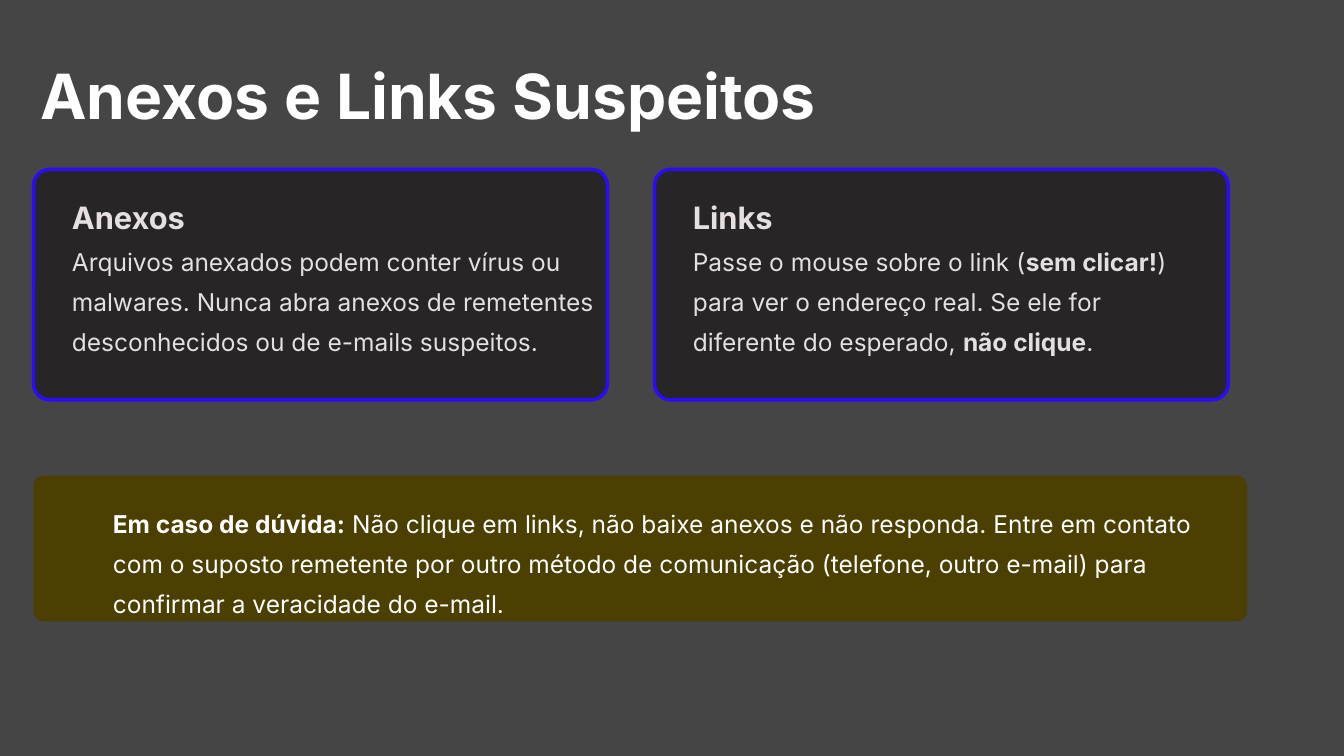
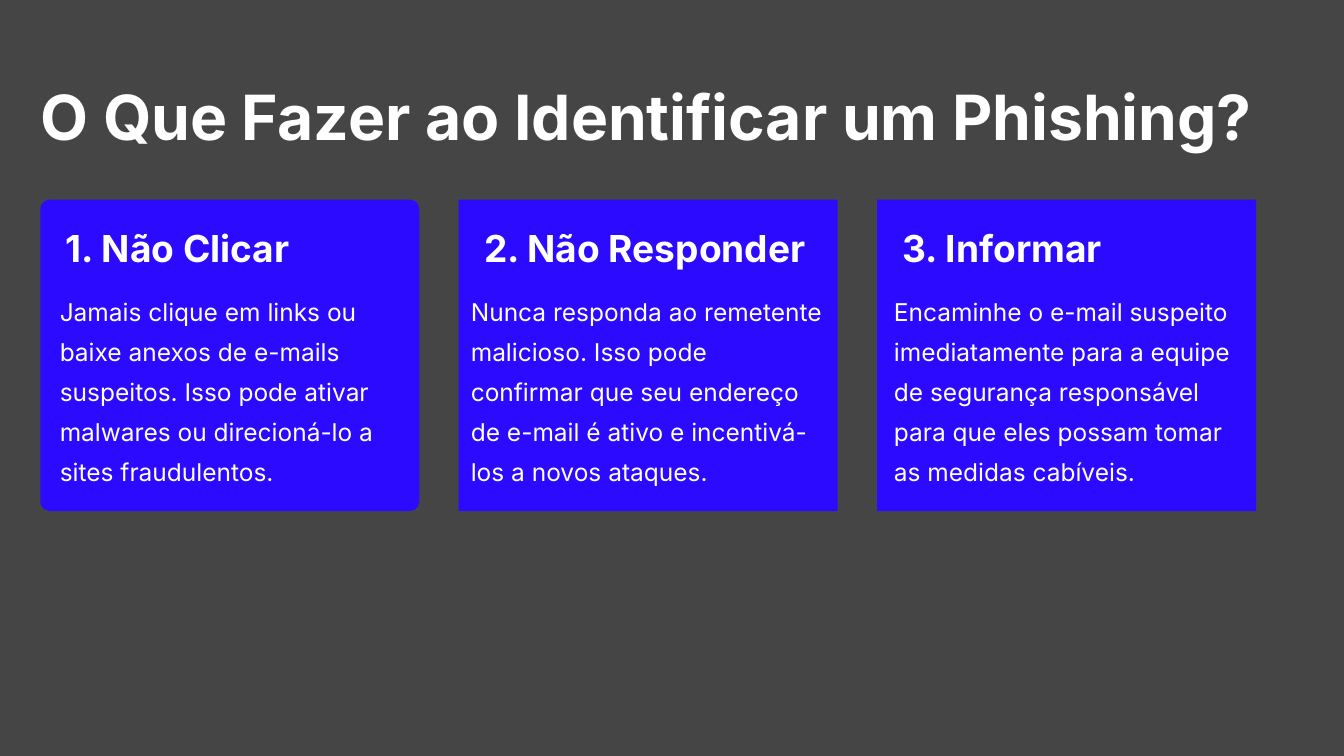
import dataclasses

import pptx
import pptx.dml.color
import pptx.enum.shapes
import pptx.enum.text
import pptx.util

ROUNDED = pptx.enum.shapes.MSO_SHAPE.ROUNDED_RECTANGLE
SQUARE = pptx.enum.shapes.MSO_SHAPE.RECTANGLE
SLIDE_WIDTH = pptx.util.Inches(13.33)
SLIDE_HEIGHT = pptx.util.Inches(7.5)
TITLE_ONLY_LAYOUT = 5


@dataclasses.dataclass(frozen=True)
class TextStyle:
    size: float
    line_height: float
    bold: bool = False


@dataclasses.dataclass(frozen=True)
class Theme:
    font: str = "Inter"
    background: str = "454545"
    panel: str = "272525"
    accent: str = "2B0AFF"
    warning: str = "4B3F02"
    light: str = "FFFFFF"
    muted: str = "E5E0DF"
    border: float = 2.4
    title: TextStyle = TextStyle(44.5, 55.5, True)
    step_heading: TextStyle = TextStyle(26.5, 33, True)
    topic_heading: TextStyle = TextStyle(22, 27.5, True)
    body: TextStyle = TextStyle(17.5, 28.5)


THEME = Theme()


def rgb(color):
    return pptx.dml.color.RGBColor.from_string(color)


def area(left, top, width, height):
    """Turn percentages of the slide's size into lengths."""
    return (round(SLIDE_WIDTH * left / 100), round(SLIDE_HEIGHT * top / 100),
            round(SLIDE_WIDTH * width / 100), round(SLIDE_HEIGHT * height / 100))


def write(frame, text, style, color):
    """Fill a frame with one paragraph; **marked** parts turn bold."""
    frame.margin_left = frame.margin_right = 0
    frame.margin_top = frame.margin_bottom = 0
    frame.word_wrap = True
    frame.auto_size = pptx.enum.text.MSO_AUTO_SIZE.NONE
    frame.vertical_anchor = pptx.enum.text.MSO_ANCHOR.TOP
    paragraph = frame.paragraphs[0]
    paragraph.alignment = pptx.enum.text.PP_ALIGN.LEFT
    paragraph.line_spacing = pptx.util.Pt(style.line_height)
    for index, part in enumerate(text.split("**")):
        if not part:
            continue
        run = paragraph.add_run()
        run.text = part
        run.font.name = THEME.font
        run.font.size = pptx.util.Pt(style.size)
        run.font.bold = style.bold or index % 2 == 1
        run.font.color.rgb = rgb(color)


def add_titled_slide(deck, title, top):
    slide = deck.slides.add_slide(deck.slide_layouts[TITLE_ONLY_LAYOUT])
    heading = slide.shapes.title
    heading.left, heading.top, heading.width, heading.height = area(3, top, 94, 10.4)
    write(heading.text_frame, title, THEME.title, THEME.light)
    return slide


def add_text(slide, place, text, style, color):
    box = slide.shapes.add_textbox(*area(*place))
    write(box.text_frame, text, style, color)


def add_panel(slide, place, fill, outline=None, shape=ROUNDED, rounding=0.07):
    panel = slide.shapes.add_shape(shape, *area(*place))
    panel.shadow.inherit = False
    panel.fill.solid()
    panel.fill.fore_color.rgb = rgb(fill)
    if outline:
        panel.line.color.rgb = rgb(outline)
        panel.line.width = pptx.util.Pt(THEME.border)
    else:
        panel.line.fill.background()
    if shape == ROUNDED:
        panel.adjustments[0] = rounding


def build_suspicious_content(deck):
    slide = add_titled_slide(deck, "Anexos e Links Suspeitos", 7.2)
    margin, card_width, gap, inset = 2.5, 42.7, 3.5, 2.85
    topics = [
        ("Anexos", 39,
         "Arquivos anexados podem conter vírus ou malwares. Nunca abra anexos de "
         "remetentes desconhecidos ou de e-mails suspeitos."),
        ("Links", 35.55,
         "Passe o mouse sobre o link (**sem clicar!**) para ver o endereço real. "
         "Se ele for diferente do esperado, **não clique**."),
    ]
    for column, (heading, body_width, body) in enumerate(topics):
        left = margin + column * (card_width + gap)
        add_panel(slide, (left, 22.4, card_width, 30.5), THEME.panel, THEME.accent)
        add_text(slide, (left + inset, 26.1, 23, 5.2), heading,
                 THEME.topic_heading, THEME.muted)
        add_text(slide, (left + inset, 31.3, body_width, 15.9), body,
                 THEME.body, THEME.muted)

    add_panel(slide, (margin, 62.9, 90.3, 19.3), THEME.warning)
    add_text(slide, (8.4, 66, 81.7, 10.5),
             "**Em caso de dúvida:** Não clique em links, não baixe anexos e não "
             "responda. Entre em contato com o suposto remetente por outro método de "
             "comunicação (telefone, outro e-mail) para confirmar a veracidade do e-mail.",
             THEME.body, THEME.light)


def build_response_steps(deck):
    slide = add_titled_slide(deck, "O Que Fazer ao Identificar um Phishing?", 9.9)
    margin, card_width, gap = 3, 28.2, 2.93
    steps = [
        ("1. Não Clicar", ROUNDED, 1.45, 25.3,
         "Jamais clique em links ou baixe anexos de e-mails suspeitos. Isso pode "
         "ativar malwares ou direcioná-lo a sites fraudulentos."),
        ("2. Não Responder", SQUARE, 0.9, 26.4,
         "Nunca responda ao remetente malicioso. Isso pode confirmar que seu "
         "endereço de e-mail é ativo e incentivá-los a novos ataques."),
        ("3. Informar", SQUARE, 1.25, 25.8,
         "Encaminhe o e-mail suspeito imediatamente para a equipe de segurança "
         "responsável para que eles possam tomar as medidas cabíveis."),
    ]
    for column, (heading, outline, inset, body_width, body) in enumerate(steps):
        left = margin + column * (card_width + gap)
        add_panel(slide, (left, 26.4, card_width, 41.2), THEME.accent,
                  shape=outline, rounding=0.03)
        add_text(slide, (left + 1.9, 29.6, 26, 6.3), heading,
                 THEME.step_heading, THEME.light)
        add_text(slide, (left + inset, 37.9, body_width, 26.4), body,
                 THEME.body, THEME.light)


def main():
    deck = pptx.Presentation()
    deck.slide_width, deck.slide_height = SLIDE_WIDTH, SLIDE_HEIGHT
    backdrop = deck.slide_master.background.fill
    backdrop.solid()
    backdrop.fore_color.rgb = rgb(THEME.background)
    build_suspicious_content(deck)
    build_response_steps(deck)
    deck.save("out.pptx")


if __name__ == "__main__":
    main()
